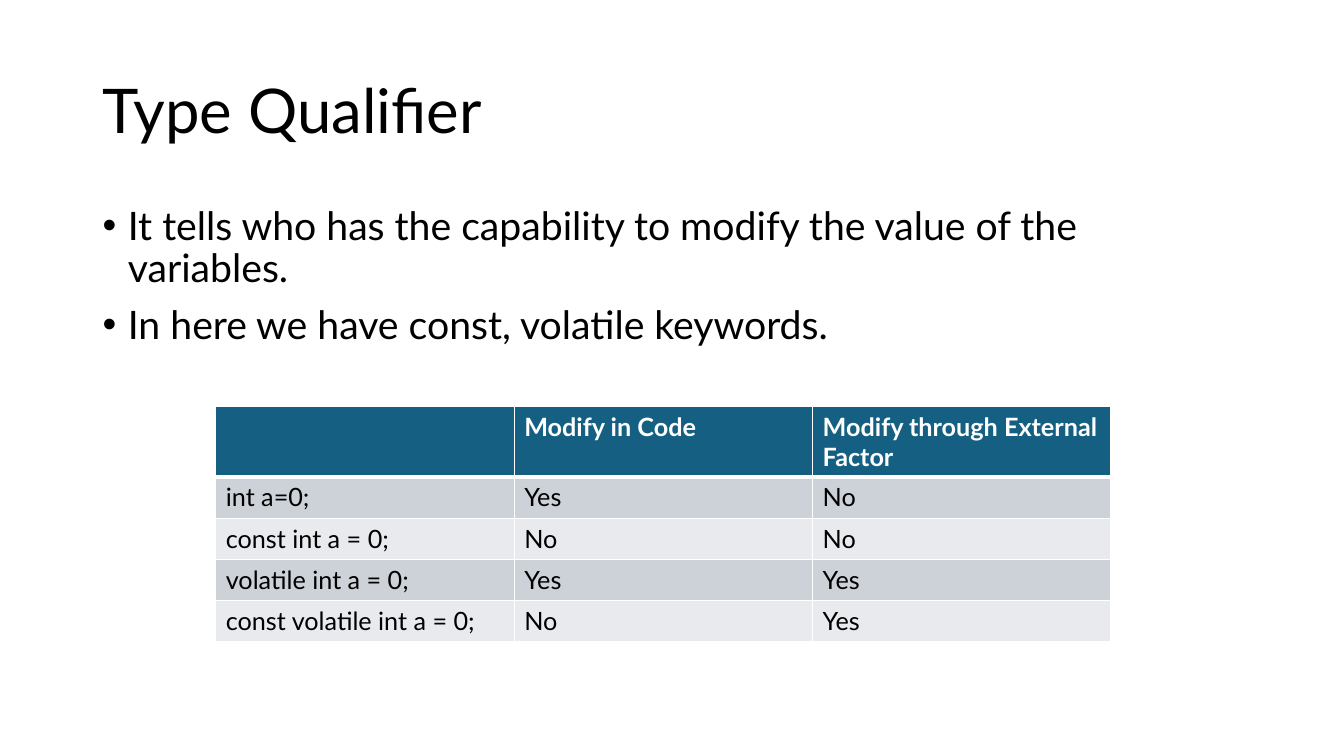
"""Build the Type Qualifier slide with its bullets and table."""
from lxml.etree import SubElement as Sub
from pptx import Presentation
from pptx.dml.color import RGBColor as Color
from pptx.enum.text import MSO_ANCHOR as Anchor
from pptx.oxml.ns import qn
from pptx.util import Inches, Pt

deck = Presentation()
deck.slide_width, deck.slide_height = Inches(13.33), Inches(7.5)
slide = deck.slides.add_slide(deck.slide_layouts[6])


def style(para, color, **look):
    for key, val in {"name": "Lato", **look}.items():
        setattr(para.font, key, val)
    para.font.color.rgb = Color.from_string(color)


def add_text(top, high, anchor, lines, size, mark=None):
    box = slide.shapes.add_textbox(Inches(0.92), Inches(top), Inches(11.5), Inches(high))
    frame = box.text_frame
    frame.word_wrap = True
    frame.vertical_anchor = anchor
    frame.text = "\n".join(lines)
    for i, para in enumerate(frame.paragraphs):
        if mark:
            props = para._p.get_or_add_pPr()
            props.set("marL", str(Inches(0.25)))
            props.set("indent", str(Inches(-0.25)))
            Sub(props, qn("a:buFont"), typeface="Arial")
            Sub(props, qn("a:buChar"), char=mark)
        para.line_spacing = 0.9
        para.space_before = Pt(10 if i else 0)
        style(para, "000000", size=Pt(size))


add_text(0.4, 1.45, Anchor.MIDDLE, ["Type Qualifier"], 44)
add_text(2, 4.76, Anchor.TOP, [
    "It tells who has the capability to modify the value of the variables.",
    "In here we have const, volatile keywords.",
], 28, "•")

rows = [
    ("", "Modify in Code", "Modify through External Factor"),
    ("int a=0;", "Yes", "No"),
    ("const int a = 0;", "No", "No"),
    ("volatile int a = 0;", "Yes", "Yes"),
    ("const volatile int a = 0;", "No", "Yes"),
]
wide, high = 2.96, 0.41
table = slide.shapes.add_table(
    len(rows), 3, Inches(2.14), Inches(4.03), Inches(3 * wide), Inches(len(rows) * high)
).table
table.horz_banding = False
for col in table.columns:
    col.width = Inches(wide)

for r, row in enumerate(rows):
    table.rows[r].height = Inches(high)
    head = r == 0
    fill = "156082" if head else ("E8EAED", "CCD2D8")[r % 2]
    for c, text in enumerate(row):
        cell = table.cell(r, c)
        cell.text = text
        style(cell.text_frame.paragraphs[0], "FFFFFF" if head else "000000",
              size=Pt(18), bold=head)
        props = cell._tc.get_or_add_tcPr()
        for side in "LRTB":
            thick = (r, side) in ((0, "B"), (1, "T"))
            line = Sub(props, qn("a:ln" + side), w=str(Pt(3 if thick else 1)))
            Sub(Sub(line, qn("a:solidFill")), qn("a:srgbClr"), val="FFFFFF")
        cell.fill.solid()
        cell.fill.fore_color.rgb = Color.from_string(fill)

deck.save("out.pptx")
